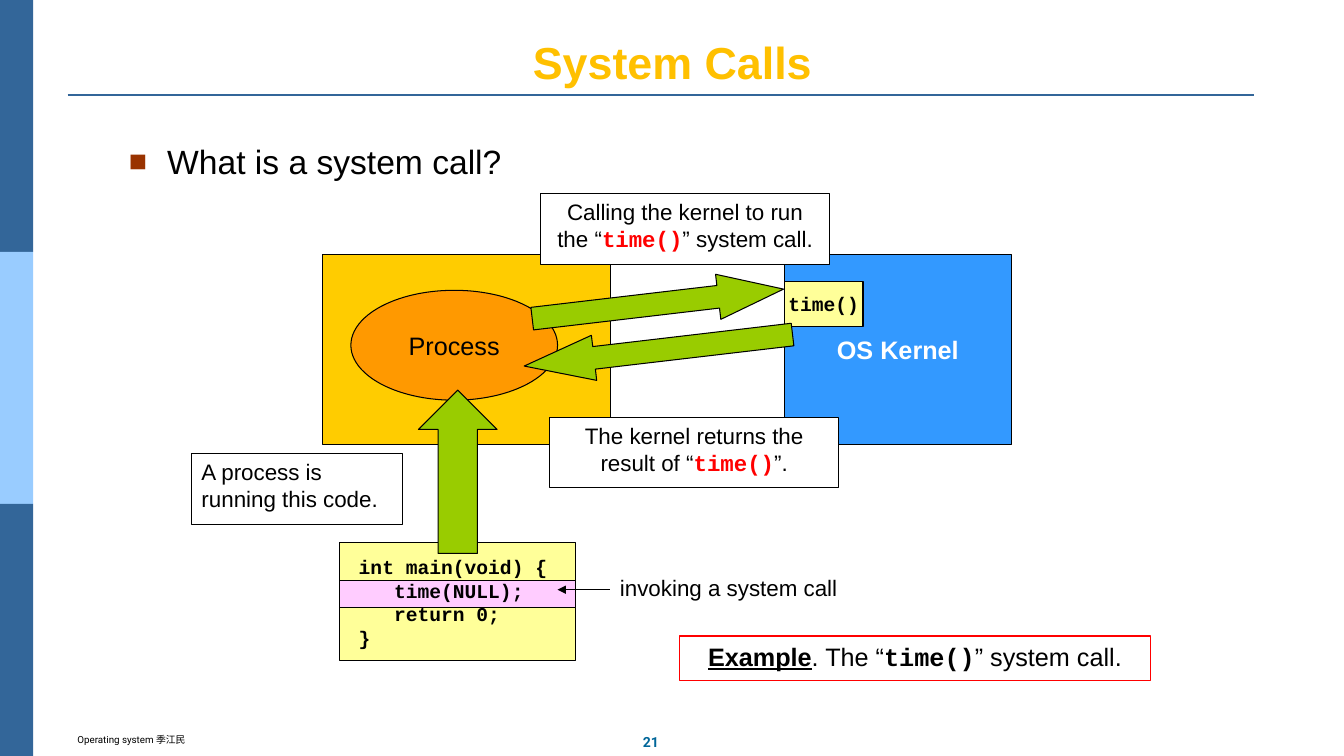
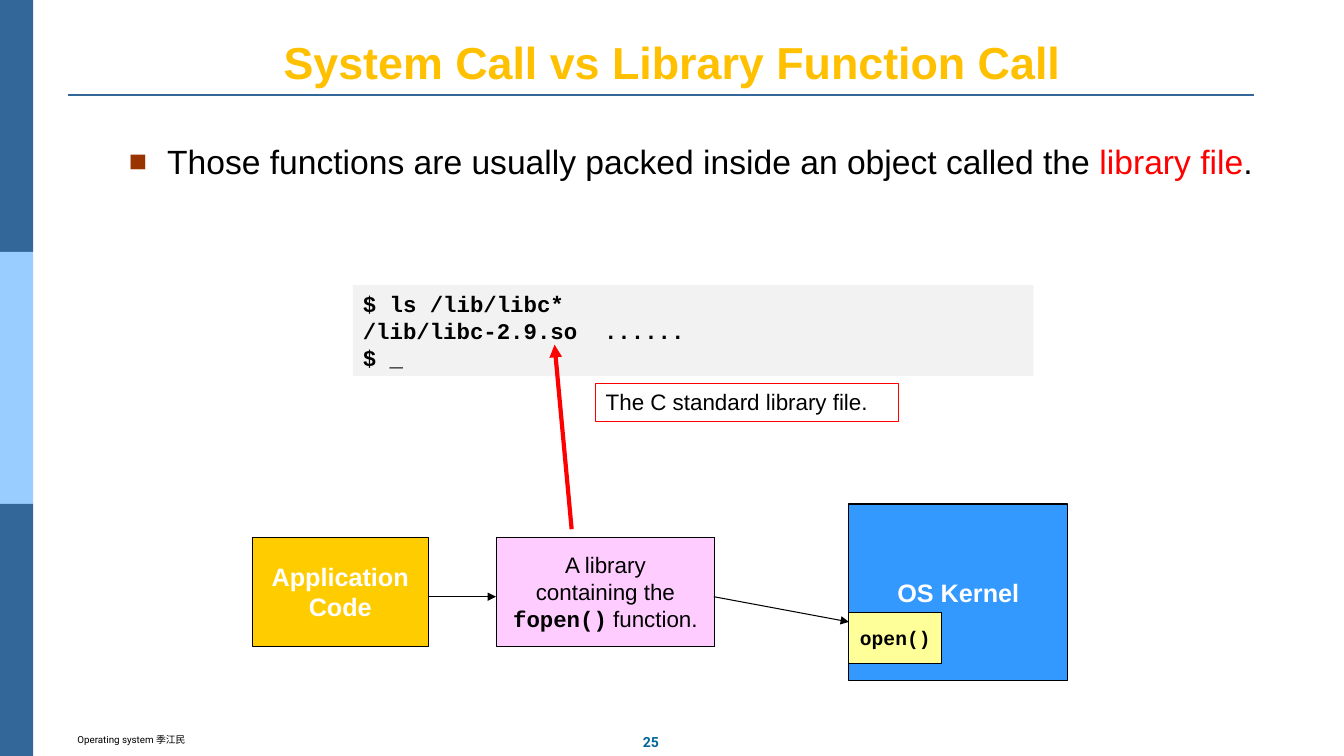
from lxml import etree
from pptx import Presentation, util as u
from pptx.dml.color import RGBColor
from pptx.enum import shapes, text
from pptx.oxml import ns

PX = 9144
NAVY = RGBColor(0x33, 0x66, 0x99)
SKY = RGBColor(0x99, 0xCC, 0xFF)
TEAL = RGBColor(0x00, 0x66, 0x99)
AMBER = RGBColor(0xFF, 0xC0, 0x00)
GOLD = RGBColor(0xFF, 0xCC, 0x00)
ORANGE = RGBColor(0xFF, 0x99, 0x00)
BLUE = RGBColor(0x33, 0x99, 0xFF)
CREAM = RGBColor(0xFF, 0xFF, 0x99)
PINK = RGBColor(0xFF, 0xCC, 0xFF)
GREEN = RGBColor(0x99, 0xCC, 0x00)
GREY = RGBColor(0xF2, 0xF2, 0xF2)
WHITE = RGBColor(0xFF, 0xFF, 0xFF)
BLACK = RGBColor(0x00, 0x00, 0x00)
RED = RGBColor(0xFF, 0x00, 0x00)
BULLET_COLOUR = "993300"

RECT, OVAL, UP, RIGHT = (
    shapes.MSO_SHAPE.RECTANGLE, shapes.MSO_SHAPE.OVAL,
    shapes.MSO_SHAPE.UP_ARROW, shapes.MSO_SHAPE.RIGHT_ARROW)
TOP, MIDDLE, BOTTOM = (
    text.MSO_ANCHOR.TOP, text.MSO_ANCHOR.MIDDLE, text.MSO_ANCHOR.BOTTOM)
LEFT, CENTER = text.PP_ALIGN.LEFT, text.PP_ALIGN.CENTER


def style(size, color=BLACK, name="Arial", **extra):
    return {"size": u.Pt(size), "color": color, "name": name, **extra}


STYLES = {
    "title": style(32, AMBER, bold=True),
    "body": style(24),
    "body red": style(24, RED),
    "footer": style(7, name="Roboto"),
    "number": style(10, TEAL, "Roboto", bold=True),
    "label": style(18),
    "label white": style(18, WHITE, bold=True),
    "label underlined": style(18, bold=True, underline=True),
    "label code": style(18, name="Courier New", bold=True),
    "note": style(16),
    "note code": style(16, name="Courier New", bold=True),
    "note red": style(16, RED, "Courier New", bold=True),
    "code": style(14, name="Courier New", bold=True),
}

LOOKS = {
    "title": {"anchor": BOTTOM, "align": CENTER},
    "text": {},
    "number": {"anchor": MIDDLE, "align": CENTER},
    "navy band": {"shape": RECT, "fill": NAVY},
    "sky band": {"shape": RECT, "fill": SKY},
    "application": {"shape": RECT, "fill": GOLD, "line": BLACK, "anchor": MIDDLE, "align": CENTER},
    "kernel": {"shape": RECT, "fill": BLUE, "line": BLACK, "anchor": MIDDLE, "align": CENTER},
    "process": {"shape": OVAL, "fill": ORANGE, "line": BLACK, "anchor": MIDDLE, "align": CENTER},
    "call": {"shape": RECT, "fill": CREAM, "line": BLACK, "anchor": MIDDLE, "align": CENTER},
    "library": {"shape": RECT, "fill": PINK, "line": BLACK, "anchor": MIDDLE, "align": CENTER},
    "note": {"shape": RECT, "fill": WHITE, "line": BLACK},
    "centred note": {"shape": RECT, "fill": WHITE, "line": BLACK, "align": CENTER},
    "red note": {"shape": RECT, "fill": WHITE, "line": RED},
    "centred red note": {"shape": RECT, "fill": WHITE, "line": RED, "align": CENTER},
    "terminal": {"shape": RECT, "fill": GREY},
    "run arrow": {"shape": UP, "fill": GREEN, "line": BLACK, "adjust": (0.5, 0.5)},
    "call arrow": {"shape": RIGHT, "fill": GREEN, "line": BLACK, "adjust": (0.5, 1.45), "turn": 353.3},
    "return arrow": {"shape": RIGHT, "fill": GREEN, "line": BLACK, "adjust": (0.5, 1.55), "turn": 173.3},
}

LINES = {
    "rule": (NAVY, 1.5, False),
    "thin arrow": (BLACK, 0.75, True),
    "red arrow": (RED, 3, True),
}


def lines(style_name, *rows):
    return [[(row, style_name)] for row in rows]


SLIDES = [
    {
        "title": "System Calls",
        "number": "21",
        "body": [("What is a system call?", "body")],
        "parts": [
            ("application", (320, 252, 286, 189), []),
            ("call", (337, 538, 234, 117), []),
            ("centred red note", (674, 631, 467, 44), [[
                ("Example", "label underlined"), (". The “", "label"),
                ("time()", "label code"), ("” system call.", "label")]]),
            ("kernel", (778, 252, 225, 189), lines("label white", "OS Kernel")),
            ("process", (348, 288, 205, 109), lines("label", "Process")),
            ("run arrow", (415, 387, 78, 162), []),
            ("note", (190, 450, 209, 70), lines("note", "A process is running this code.")),
            ("centred note", (536, 192, 287, 70), [[
                ("Calling the kernel to run the “", "note"),
                ("time()", "note red"), ("” system call.", "note")]]),
            ("centred note", (545, 414, 287, 70), [[
                ("The kernel returns the result of “", "note"),
                ("time()", "note red"), ("”.", "note")]]),
            ("library", (337, 576, 234, 27), []),
            ("text", (346, 546, 216, 113), lines(
                "code", "int main(void) {", "   time(NULL);", "   return 0;", "}")),
            ("thin arrow", (605, 585, 553, 585), None),
            ("text", (605, 565, 245, 40), lines("note", "invoking a system call")),
            ("call", (778, 279, 78, 45), lines("code", "time()")),
            ("call arrow", (527, 279, 251, 45), []),
            ("return arrow", (519, 325, 268, 45), []),
        ],
    },
    {
        "title": "System Call vs Library Function Call",
        "number": "25",
        "body": [
            ("Those functions are usually packed inside an object called the ", "body"),
            ("library file", "body red"), (".", "body")],
        "parts": [
            ("application", (250, 533, 175, 108), lines("label white", "Application", "Code")),
            ("library", (492, 533, 217, 108), [
                *lines("note", "A library", "containing the"),
                [("fopen()", "note code"), (" function.", "note")]]),
            ("kernel", (842, 500, 217, 175), lines("label white", "OS Kernel")),
            ("call", (842, 608, 92, 50), lines("code", "open()")),
            ("thin arrow", (425, 592, 492, 592), None),
            ("thin arrow", (708, 592, 842, 617), None),
            ("terminal", (350, 283, 675, 90), lines(
                "note code", "$ ls /lib/libc*", "/lib/libc-2.9.so  ......", "$ _")),
            ("red arrow", (567, 525, 550, 342), None),
            ("red note", (591, 380, 300, 38), lines("note", "The C standard library file.")),
        ],
    },
]

BANDS = ["navy band", "sky band", "navy band"]
BAND_HEIGHT = 250


def scaled(place):
    return [length * PX for length in place]


def add_line(slide, name, place):
    color, width, arrow = LINES[name]
    connector = slide.shapes.add_connector(shapes.MSO_CONNECTOR.STRAIGHT, *scaled(place))
    connector.line.color.rgb = color
    connector.line.width = u.Pt(width)
    if arrow:
        etree.SubElement(connector.line._get_or_add_ln(), ns.qn("a:tailEnd"), type="triangle")
    etree.SubElement(connector._element.spPr, ns.qn("a:effectLst"))


def write(shape, look, paragraphs):
    frame = shape.text_frame
    frame.vertical_anchor = look.get("anchor", TOP)
    frame.word_wrap = frame.vertical_anchor != MIDDLE
    for index, runs in enumerate(paragraphs):
        paragraph = frame.add_paragraph() if index else frame.paragraphs[0]
        paragraph.alignment = look.get("align", LEFT)
        for words, style_name in runs:
            run = paragraph.add_run()
            run.text = words
            for key, value in STYLES[style_name].items():
                if key == "color":
                    run.font.color.rgb = value
                else:
                    setattr(run.font, key, value)


def add_box(slide, name, place, paragraphs):
    look = LOOKS[name]
    if "shape" in look:
        shape = slide.shapes.add_shape(look["shape"], *scaled(place))
        shape.shadow.inherit = False
        shape.fill.solid()
        shape.fill.fore_color.rgb = look["fill"]
        if "line" in look:
            shape.line.color.rgb = look["line"]
            shape.line.width = u.Pt(0.75)
        else:
            shape.line.fill.background()
        for index, value in enumerate(look.get("adjust", ())):
            shape.adjustments[index] = value
        shape.rotation = look.get("turn", 0)
    else:
        shape = slide.shapes.add_textbox(*scaled(place))
    write(shape, look, paragraphs)
    return shape


def add_bullet(paragraph):
    properties = paragraph._p.get_or_add_pPr()
    properties.set("marL", str(38 * PX))
    properties.set("indent", str(-38 * PX))
    color = etree.SubElement(properties, ns.qn("a:buClr"))
    etree.SubElement(color, ns.qn("a:srgbClr"), val=BULLET_COLOUR)
    etree.SubElement(properties, ns.qn("a:buSzPct"), val="90000")
    etree.SubElement(properties, ns.qn("a:buFont"), typeface="Arial")
    etree.SubElement(properties, ns.qn("a:buChar"), char="■")


def add_frame(slide, content):
    for index, band in enumerate(BANDS):
        add_box(slide, band, (0, index * BAND_HEIGHT, 33, BAND_HEIGHT), [])
    add_line(slide, "rule", (67, 94, 1244, 94))
    add_box(slide, "number", (627, 723, 37, 27), lines("number", content["number"]))
    add_box(slide, "text", (67, 723, 248, 22), lines("footer", "Operating system 季江民"))
    add_box(slide, "title", (67, 30, 1200, 63), lines("title", content["title"]))
    body = add_box(slide, "text", (118, 135, 1149, 495), [content["body"]])
    add_bullet(body.text_frame.paragraphs[0])


def main():
    presentation = Presentation()
    presentation.slide_width, presentation.slide_height = scaled((1333, 750))
    for content in SLIDES:
        slide = presentation.slides.add_slide(presentation.slide_layouts[6])
        add_frame(slide, content)
        for name, place, paragraphs in content["parts"]:
            if name in LINES:
                add_line(slide, name, place)
            else:
                add_box(slide, name, place, paragraphs)
    presentation.save("out.pptx")


if __name__ == "__main__":
    main()
